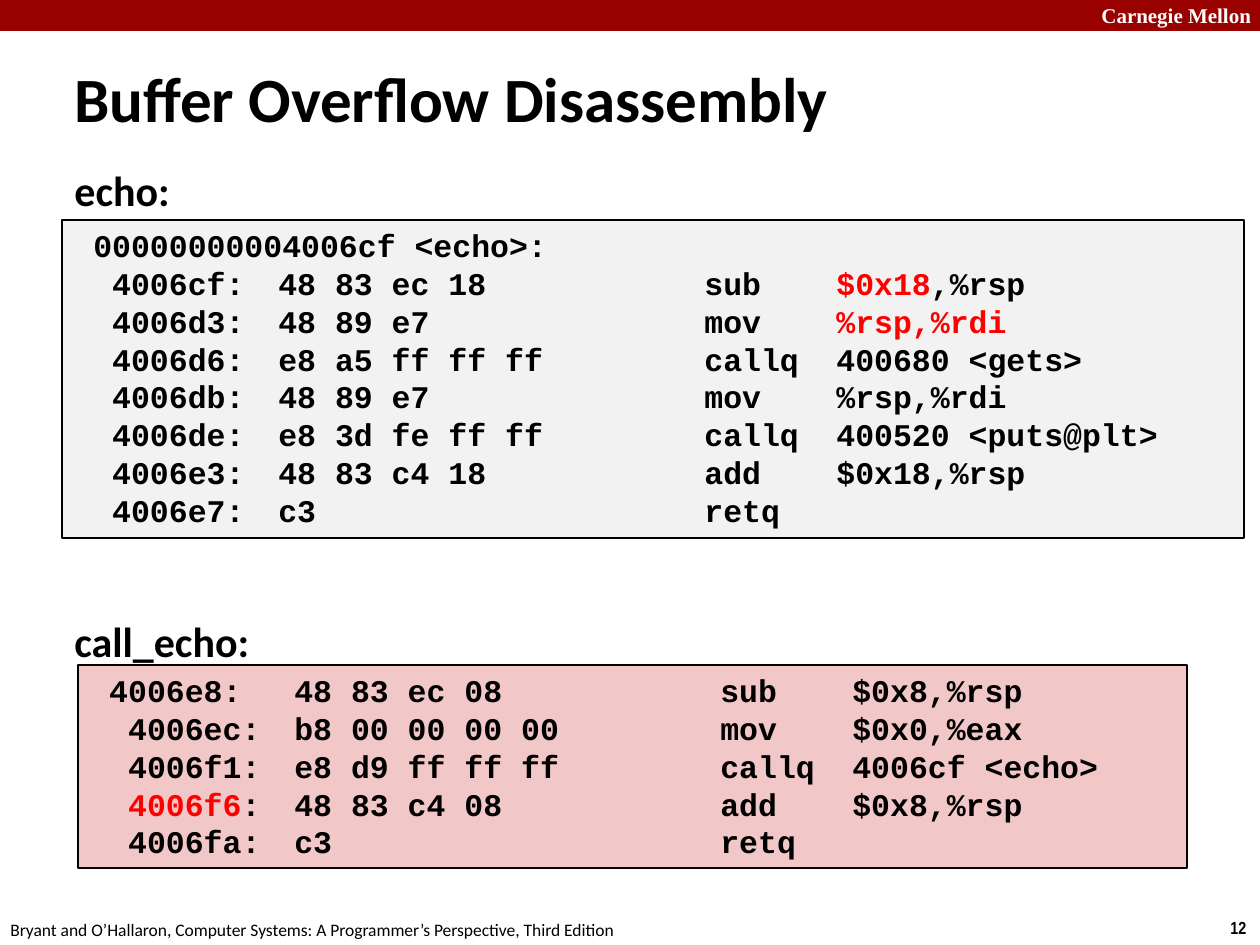
"""Build the buffer overflow disassembly slide."""
from dataclasses import dataclass

from lxml import etree
from pptx import Presentation
from pptx.dml.color import RGBColor
from pptx.enum.shapes import MSO_SHAPE
from pptx.enum.text import MSO_ANCHOR, PP_ALIGN
from pptx.oxml.ns import qn
from pptx.util import Emu, Pt

RECTANGLE = MSO_SHAPE.RECTANGLE
LEFT = PP_ALIGN.LEFT
TOP, MIDDLE = MSO_ANCHOR.TOP, MSO_ANCHOR.MIDDLE
EMU_PER_PX = 914400 / 126

BLACK = RGBColor(0x00, 0x00, 0x00)
WHITE = RGBColor(0xFF, 0xFF, 0xFF)
RED = RGBColor(0xFF, 0x00, 0x00)
MAROON = RGBColor(0x99, 0x00, 0x00)
GRAY = RGBColor(0xF2, 0xF2, 0xF2)
PINK = RGBColor(0xF1, 0xC7, 0xC7)

CODE_TABS = (204, 630, 762)
CODE_FORMAT = {"name": "Courier New", "size": Pt(18), "bold": True}


@dataclass(frozen=True)
class Box:
    left: int
    top: int
    width: int
    height: int


@dataclass(frozen=True)
class Label:
    text: str
    box: Box
    font: str
    size: int
    bold: bool = True
    color: RGBColor = BLACK
    anchor: MSO_ANCHOR = TOP
    wrap: bool = False


@dataclass(frozen=True)
class CodeLine:
    text: str
    highlight: str = ""


@dataclass(frozen=True)
class Listing:
    box: Box
    fill: RGBColor
    lines: tuple[CodeLine, ...]


HEADER = Box(0, 0, 1260, 31)

LABELS = (
    Label("Carnegie Mellon", Box(1089, -4, 180, 38), "Times New Roman", 12, color=WHITE, wrap=True),
    Label("12", Box(1218, 911, 43, 34), "Arial Narrow", 10),
    Label("Bryant and O’Hallaron, Computer Systems: A Programmer’s Perspective, Third Edition",
          Box(-2, 913, 640, 34), "Calibri", 10, bold=False),
    Label("Buffer Overflow Disassembly", Box(62, 58, 978, 79), "Calibri", 36, anchor=MIDDLE, wrap=True),
    Label("echo:", Box(62, 158, 122, 63), "Calibri", 24),
    Label("call_echo:", Box(62, 609, 203, 63), "Calibri", 24),
)

LISTINGS = (
    Listing(Box(62, 220, 1182, 318), GRAY, (
        CodeLine(" 00000000004006cf <echo>:"),
        CodeLine("  4006cf:\t48 83 ec 18\tsub\t$0x18,%rsp", "$0x18"),
        CodeLine("  4006d3:\t48 89 e7\tmov\t%rsp,%rdi", "%rsp,%rdi"),
        CodeLine("  4006d6:\te8 a5 ff ff ff\tcallq\t400680 <gets>"),
        CodeLine("  4006db:\t48 89 e7\tmov\t%rsp,%rdi"),
        CodeLine("  4006de:\te8 3d fe ff ff\tcallq\t400520 <puts@plt>"),
        CodeLine("  4006e3:\t48 83 c4 18\tadd\t$0x18,%rsp"),
        CodeLine("  4006e7:\tc3\tretq"),
    )),
    Listing(Box(78, 665, 1109, 203), PINK, (
        CodeLine(" 4006e8:\t48 83 ec 08\tsub\t$0x8,%rsp"),
        CodeLine("  4006ec:\tb8 00 00 00 00\tmov\t$0x0,%eax"),
        CodeLine("  4006f1:\te8 d9 ff ff ff\tcallq\t4006cf <echo>"),
        CodeLine("  4006f6:\t48 83 c4 08\tadd\t$0x8,%rsp", "4006f6"),
        CodeLine("  4006fa:\tc3\tretq"),
    )),
)


def px(length: int) -> Emu:
    """Turn pixels into EMU."""
    return Emu(round(length * EMU_PER_PX))


def place(box: Box) -> tuple[Emu, Emu, Emu, Emu]:
    """Give the position and size of a box in EMU."""
    return px(box.left), px(box.top), px(box.width), px(box.height)


def add_run(paragraph, text: str, color: RGBColor, font_format: dict) -> None:
    """Append one formatted run."""
    run = paragraph.add_run()
    run.text = text
    for attribute, value in font_format.items():
        setattr(run.font, attribute, value)
    run.font.color.rgb = color


def add_rectangle(slide, box: Box, fill: RGBColor):
    """Draw a flat filled rectangle without outline."""
    rectangle = slide.shapes.add_shape(RECTANGLE, *place(box))
    rectangle.shadow.inherit = False
    rectangle.fill.solid()
    rectangle.fill.fore_color.rgb = fill
    rectangle.line.fill.background()
    return rectangle


def add_label(slide, label: Label) -> None:
    """Draw one line of text."""
    frame = slide.shapes.add_textbox(*place(label.box)).text_frame
    frame.word_wrap = label.wrap
    frame.vertical_anchor = label.anchor
    font_format = {"name": label.font, "size": Pt(label.size), "bold": label.bold}
    add_run(frame.paragraphs[0], label.text, label.color, font_format)


def add_code_tabs(paragraph) -> None:
    """Set the tab stops of the listing columns."""
    tab_list = etree.SubElement(paragraph._p.get_or_add_pPr(), qn("a:tabLst"))
    for stop in CODE_TABS:
        etree.SubElement(tab_list, qn("a:tab"), pos=str(px(stop)), algn="l")


def add_listing(slide, listing: Listing) -> None:
    """Draw a framed block of disassembly."""
    panel = add_rectangle(slide, listing.box, listing.fill)
    panel.line.color.rgb = BLACK
    panel.line.width = Pt(1)
    frame = panel.text_frame
    frame.word_wrap = True
    frame.vertical_anchor = TOP
    for index, line in enumerate(listing.lines):
        paragraph = frame.add_paragraph() if index else frame.paragraphs[0]
        paragraph.alignment = LEFT
        add_code_tabs(paragraph)
        parts = line.text.partition(line.highlight) if line.highlight else (line.text,)
        for part, color in zip(parts, (BLACK, RED, BLACK)):
            if part:
                add_run(paragraph, part, color, CODE_FORMAT)


def main() -> None:
    """Build and save the slide."""
    presentation = Presentation()
    presentation.slide_width = px(1260)
    presentation.slide_height = px(945)
    slide = presentation.slides.add_slide(presentation.slide_layouts[6])
    add_rectangle(slide, HEADER, MAROON)
    for listing in LISTINGS:
        add_listing(slide, listing)
    for label in LABELS:
        add_label(slide, label)
    presentation.save("out.pptx")


if __name__ == "__main__":
    main()
